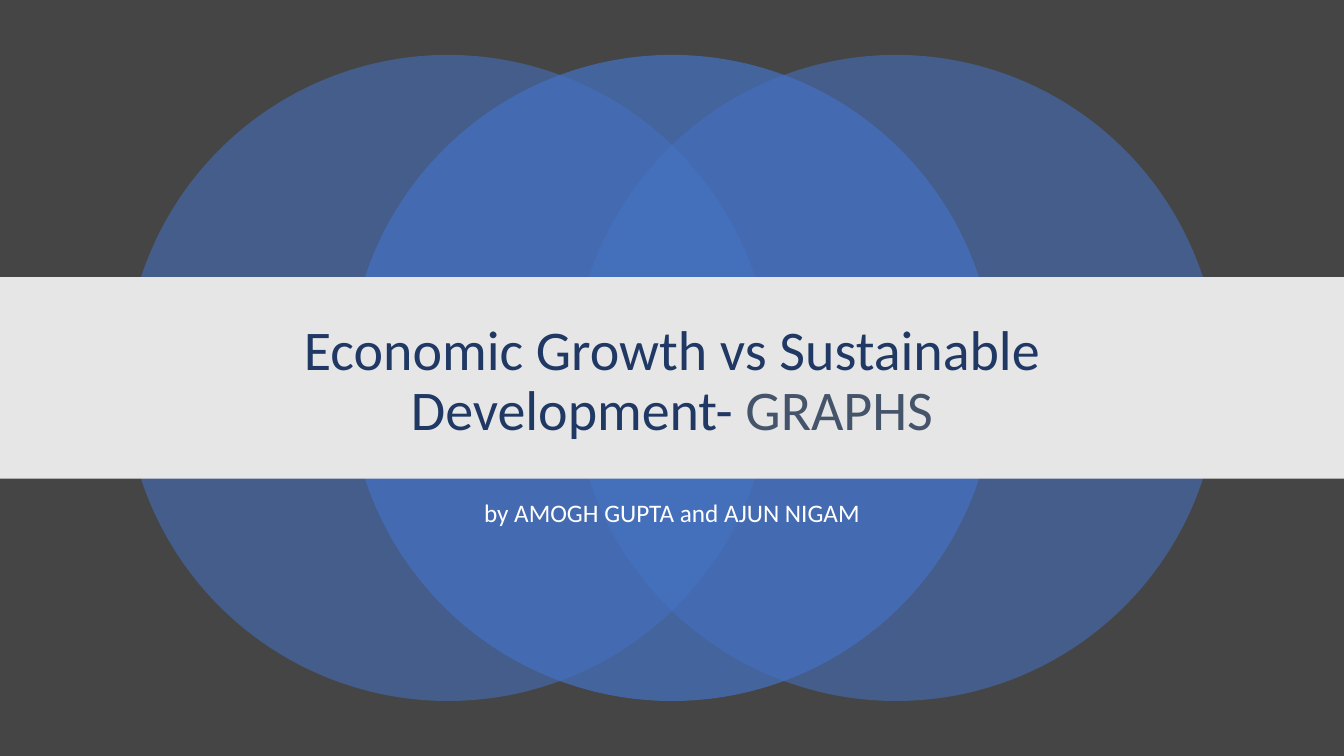
from dataclasses import dataclass

from lxml import etree
from pptx import Presentation
from pptx import util as u
from pptx.dml.color import RGBColor
from pptx.enum import shapes, text
from pptx.oxml import ns

WIDTH, HEIGHT = 13.33, 7.5
FONT = "Calibri"


@dataclass
class Circle:
    step: int  # columns from the slide's centre
    opacity: int  # percent


@dataclass
class Run:
    words: str
    color: str


@dataclass
class Caption:
    top: float
    height: float
    size: int
    anchor: text.MSO_ANCHOR
    space_before: int
    runs: list[Run]


def paint(fill, color: str) -> None:
    fill.solid()
    fill.fore_color.rgb = RGBColor.from_string(color)


def add_block(slide, kind, left: float, top: float, width: float, height: float, color: str):
    block = slide.shapes.add_shape(kind, *map(u.Inches, (left, top, width, height)))
    block.shadow.inherit = False
    block.line.fill.background()
    paint(block.fill, color)
    return block


def add_circle(slide, circle: Circle) -> None:
    left = (WIDTH - DIAMETER) / 2 + circle.step * CIRCLE_STEP
    top = (HEIGHT - DIAMETER) / 2
    disc = add_block(slide, shapes.MSO_SHAPE.OVAL, left, top, DIAMETER, DIAMETER, "4472C4")
    tint = disc.fill._xPr.find(".//" + ns.qn("a:srgbClr"))
    etree.SubElement(tint, ns.qn("a:alpha"), val=str(circle.opacity * 1000))


def add_caption(slide, caption: Caption) -> None:
    left = (WIDTH - CAPTION_WIDTH) / 2
    box = slide.shapes.add_textbox(
        *map(u.Inches, (left, caption.top, CAPTION_WIDTH, caption.height)))
    frame = box.text_frame
    frame.word_wrap = True
    frame.vertical_anchor = caption.anchor
    line = frame.paragraphs[0]
    line.alignment = text.PP_ALIGN.CENTER
    line.line_spacing = 0.9
    line.space_before = u.Pt(caption.space_before)
    line.font.name = FONT
    line.font.size = u.Pt(caption.size)
    for part in caption.runs:
        run = line.add_run()
        run.text = part.words
        paint(run.font.fill, part.color)


DIAMETER = 6.41
CIRCLE_STEP = WIDTH / 6
CAPTION_WIDTH = 10
BAND_HEIGHT = 2

# Outer circles first, the denser middle one on top
CIRCLES = [Circle(-1, 55), Circle(1, 55), Circle(0, 70)]

CAPTIONS = [
    Caption(3.04, 1.51, 40, text.MSO_ANCHOR.MIDDLE, 0, [
        Run("Economic Growth vs Sustainable Development- ", "203864"),
        Run("GRAPHS", "44546A"),
    ]),
    Caption(4.92, 0.83, 18, text.MSO_ANCHOR.TOP, 10, [
        Run("by AMOGH GUPTA and AJUN NIGAM", "FFFFFF"),
    ]),
]

deck = Presentation()
deck.slide_width, deck.slide_height = u.Inches(WIDTH), u.Inches(HEIGHT)
cover = deck.slides.add_slide(deck.slide_layouts[6])
paint(cover.background.fill, "454545")

# Overlapping circles
for circle in CIRCLES:
    add_circle(cover, circle)

# Title band across the middle
add_block(cover, shapes.MSO_SHAPE.RECTANGLE,
          0, (HEIGHT - BAND_HEIGHT) / 2, WIDTH, BAND_HEIGHT, "E7E6E6")

# Title and authors
for caption in CAPTIONS:
    add_caption(cover, caption)

deck.save("out.pptx")
